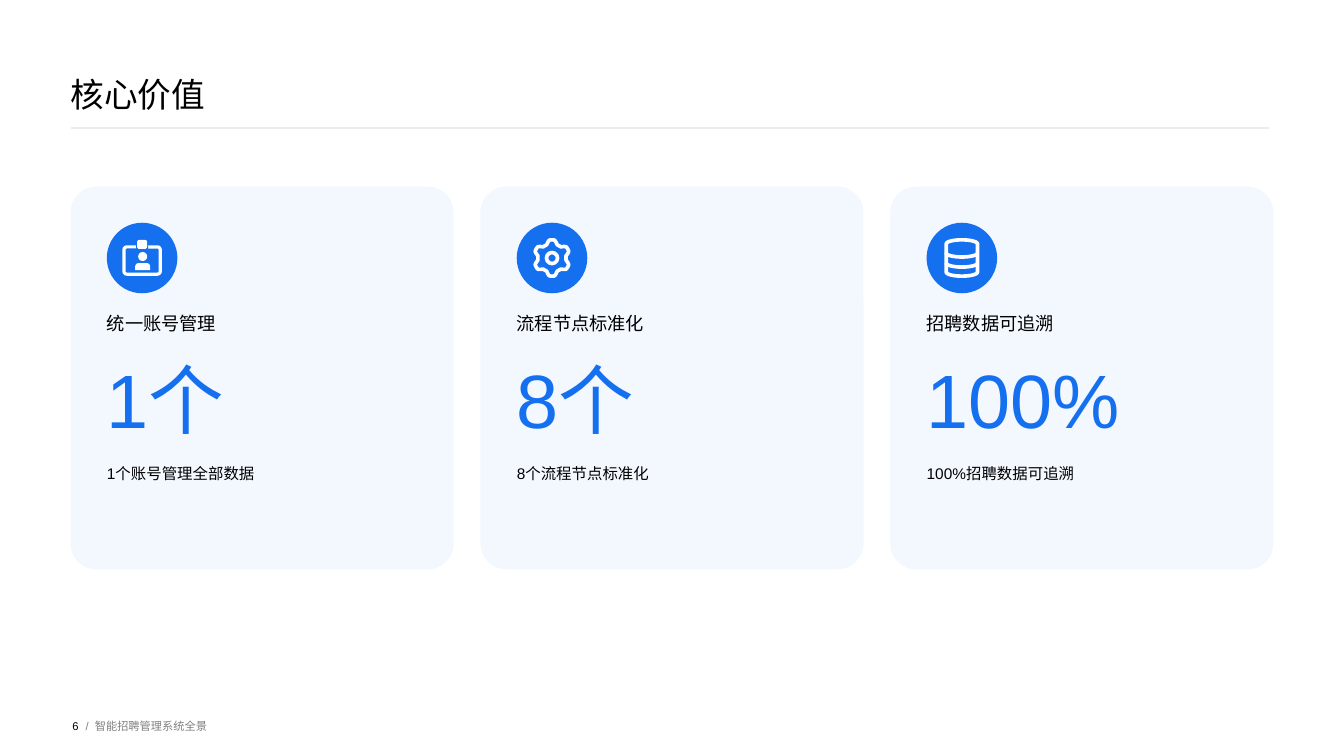
import math

import pptx
import pptx.dml.color
import pptx.enum.shapes
import pptx.enum.text
import pptx.oxml
import pptx.oxml.ns
import pptx.util

# Content
TITLE = "核心价值"
PAGE_NUMBER = "6"
SEPARATOR = "/"
DECK_NAME = "智能招聘管理系统全景"
CARDS = [
    ("badge", "统一账号管理", "1个", "1个账号管理全部数据"),
    ("gear", "流程节点标准化", "8个", "8个流程节点标准化"),
    ("database", "招聘数据可追溯", "100%", "100%招聘数据可追溯"),
]
COLORS = {"blue": "1570EF", "white": "FFFFFF", "black": "000000",
          "gray": "808080", "rule": "EAECF0"}
FONT = "Arial"

# Grid, in inches
SLIDE_WIDTH, SLIDE_HEIGHT = 13.33, 7.5
MARGIN = 0.7
CARD_SIZE, CARD_TOP, CARD_RADIUS = 3.8, 1.85, 0.26
CARD_GAP = (SLIDE_WIDTH - 2 * MARGIN - len(CARDS) * CARD_SIZE) / (len(CARDS) - 1)
PADDING = 0.36
DISC_SIZE = 0.7
TEXT_WIDTH = 2.98
FOOTER_TOP, FOOTER_HEIGHT = 6.9, 0.6
STROKE = 2.6

SHAPES = pptx.enum.shapes.MSO_SHAPE
ANCHORS = pptx.enum.text.MSO_ANCHOR
ALIGNMENTS = pptx.enum.text.PP_ALIGN
inches = pptx.util.Inches

presentation = pptx.Presentation()
presentation.slide_width = inches(SLIDE_WIDTH)
presentation.slide_height = inches(SLIDE_HEIGHT)
slide = presentation.slides.add_slide(presentation.slide_layouts[6])


def rgb(color):
    return pptx.dml.color.RGBColor.from_string(COLORS[color])


def paint(shape, fill=None, line=None, stroke=STROKE):
    shape.shadow.inherit = False
    if fill:
        shape.fill.solid()
        shape.fill.fore_color.rgb = rgb(fill)
    else:
        shape.fill.background()
    if line:
        shape.line.color.rgb = rgb(line)
        shape.line.width = pptx.util.Pt(stroke)
    else:
        shape.line.fill.background()
    return shape


def add_preset(kind, left, top, width, height, **paint_options):
    shape = slide.shapes.add_shape(
        kind, inches(left), inches(top), inches(width), inches(height))
    return paint(shape, **paint_options)


def add_outline(points, closed=True):
    # Points are scaled to EMU, as the builder rounds its coordinates
    points = [(inches(x), inches(y)) for x, y in points]
    builder = slide.shapes.build_freeform(*points[0])
    builder.add_line_segments(points[1:], close=closed)
    return paint(builder.convert_to_shape(), line="white")


def add_text(text, left, top, width, height, size=8, color="black",
             anchor=ANCHORS.TOP, align=ALIGNMENTS.LEFT, spacing=None):
    box = slide.shapes.add_textbox(
        inches(left), inches(top), inches(width), inches(height))
    frame = box.text_frame
    frame.word_wrap = True
    frame.vertical_anchor = anchor
    frame.margin_left = frame.margin_right = 0
    frame.margin_top = frame.margin_bottom = 0
    paragraph = frame.paragraphs[0]
    paragraph.alignment = align
    if spacing:
        paragraph.line_spacing = spacing
    run = paragraph.add_run()
    run.text = text
    run.font.name = FONT
    run.font.size = pptx.util.Pt(size)
    run.font.color.rgb = rgb(color)


def arc(x, y, radius_x, radius_y, start, end, steps=24):
    """Points on an ellipse between two angles in degrees."""
    angles = [math.radians(start + (end - start) * step / steps)
              for step in range(steps + 1)]
    return [(x + radius_x * math.cos(angle), y + radius_y * math.sin(angle))
            for angle in angles]


# Icons, each centred on x, y
def draw_badge(x, y):
    frame = add_preset(SHAPES.ROUNDED_RECTANGLE, x - 0.18, y - 0.11, 0.36, 0.27,
                       line="white", stroke=2.3)
    frame.adjustments[0] = 0.1
    add_preset(SHAPES.RECTANGLE, x - 0.06, y - 0.14, 0.12, 0.05, fill="blue")
    clip = add_preset(SHAPES.ROUNDED_RECTANGLE, x - 0.05, y - 0.18, 0.1, 0.09,
                      fill="white")
    clip.adjustments[0] = 0.25
    add_preset(SHAPES.OVAL, x - 0.04, y - 0.06, 0.09, 0.09, fill="white")
    body = add_preset(SHAPES.ROUND_2_SAME_RECTANGLE, x - 0.07, y + 0.05, 0.15, 0.07,
                      fill="white")
    body.adjustments[0] = 0.5


def draw_gear(x, y):
    teeth, steps = 6, 120
    points = []
    for step in range(steps):
        angle = 2 * math.pi * step / steps
        wave = max(-1, min(1, -1.5 * math.cos(teeth * angle)))
        radius = 0.16 + 0.02 * wave
        points.append((x + radius * math.cos(angle), y + radius * math.sin(angle)))
    # Teeth point straight up and down, and every 60 degrees between
    add_outline(points)
    add_preset(SHAPES.OVAL, x - 0.055, y - 0.055, 0.11, 0.11, line="white")


def draw_database(x, y):
    half_width, depth = 0.155, 0.04
    add_outline(arc(x, y - 0.14, half_width, depth, 180, 360)
                + arc(x, y + 0.14, half_width, depth, 0, 180))
    for band in (-0.05, 0.05):
        add_outline(arc(x, y + band, half_width, depth, 0, 180), closed=False)


ICONS = {"badge": draw_badge, "gear": draw_gear, "database": draw_database}

# Title and rule
add_text(TITLE, MARGIN, 0, SLIDE_WIDTH - 2 * MARGIN, 1.13, size=24,
         anchor=ANCHORS.BOTTOM)
rule = slide.shapes.add_connector(
    pptx.enum.shapes.MSO_CONNECTOR.STRAIGHT,
    inches(MARGIN), inches(1.27), inches(12.59), inches(1.27))
rule.line.color.rgb = rgb("rule")
rule.line.width = pptx.util.Pt(2)
rule._element.spPr.append(pptx.oxml.parse_xml(
    "<a:effectLst %s/>" % pptx.oxml.ns.nsdecls("a")))

# Cards
for column, (icon, label, figure, detail) in enumerate(CARDS):
    left = MARGIN + column * (CARD_SIZE + CARD_GAP)
    inner = left + PADDING
    card = add_preset(SHAPES.ROUNDED_RECTANGLE, left, CARD_TOP, CARD_SIZE, CARD_SIZE,
                      fill="blue")
    card.adjustments[0] = CARD_RADIUS / CARD_SIZE
    tint = card._element.spPr.find(".//" + pptx.oxml.ns.qn("a:srgbClr"))
    tint.append(pptx.oxml.parse_xml(
        '<a:alpha %s val="5000"/>' % pptx.oxml.ns.nsdecls("a")))

    disc_top = CARD_TOP + PADDING
    add_preset(SHAPES.OVAL, inner, disc_top, DISC_SIZE, DISC_SIZE, fill="blue")
    ICONS[icon](inner + DISC_SIZE / 2, disc_top + DISC_SIZE / 2)

    add_text(label, inner, 3.12, TEXT_WIDTH, 0.3, size=13, spacing=0.9)
    add_text(figure, inner, 3.49, TEXT_WIDTH, 0.91, size=54, color="blue",
             anchor=ANCHORS.BOTTOM)
    add_text(detail, inner, 4.57, TEXT_WIDTH, 0.7, size=11, spacing=1.2)

# Footer
add_text(PAGE_NUMBER, 0.47, FOOTER_TOP, 0.31, FOOTER_HEIGHT,
         anchor=ANCHORS.MIDDLE, align=ALIGNMENTS.RIGHT)
add_text(SEPARATOR, 0.85, FOOTER_TOP, 0.09, FOOTER_HEIGHT, color="gray",
         anchor=ANCHORS.MIDDLE)
add_text(DECK_NAME, 0.94, FOOTER_TOP, 5.49, FOOTER_HEIGHT, color="gray",
         anchor=ANCHORS.MIDDLE)

presentation.save("out.pptx")
